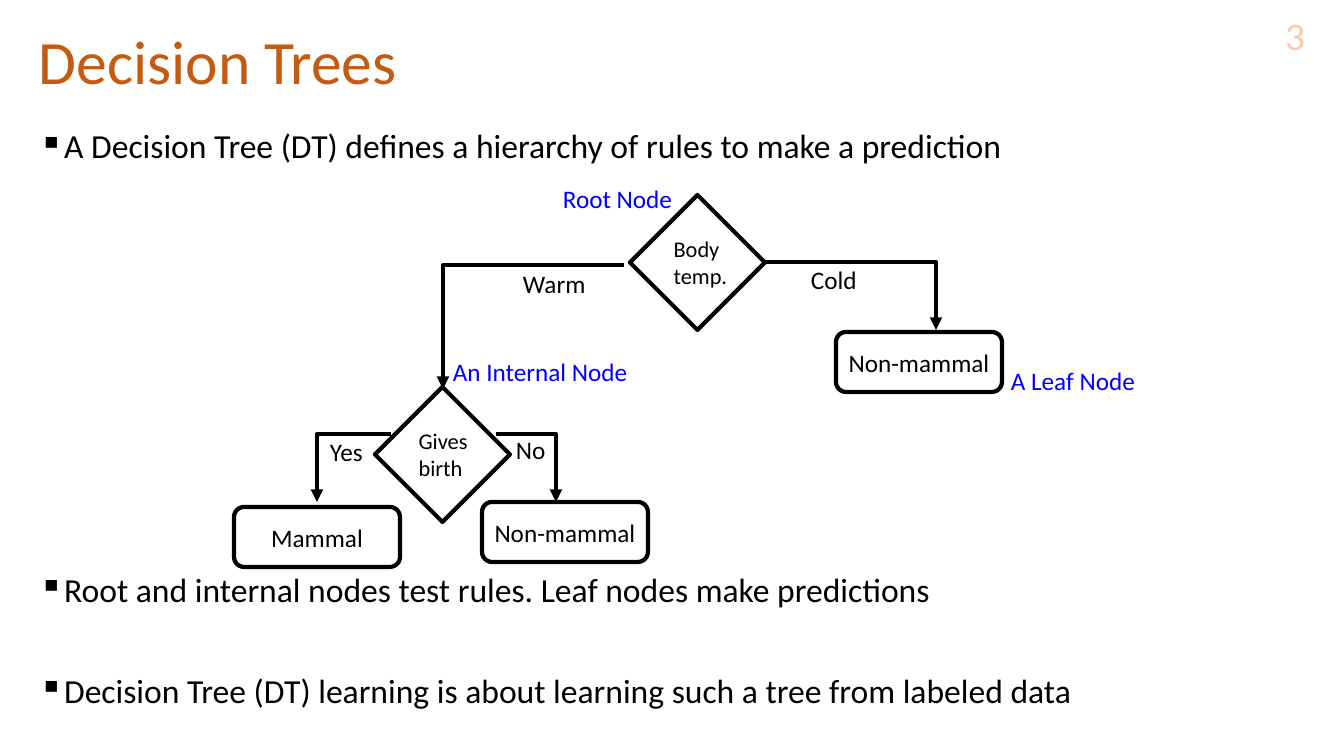
import pptx
import pptx.util
import pptx.dml.color
import pptx.enum.shapes
import pptx.enum.text
import pptx.oxml
import pptx.oxml.ns
from lxml import etree

SHAPES = pptx.enum.shapes.MSO_SHAPE
ALIGN = pptx.enum.text.PP_ALIGN
ANCHOR = pptx.enum.text.MSO_ANCHOR
BLACK = pptx.dml.color.RGBColor(0, 0, 0)
WHITE = pptx.dml.color.RGBColor(255, 255, 255)
BLUE = pptx.dml.color.RGBColor(0, 0, 255)
ORANGE = pptx.dml.color.RGBColor(0xC5, 0x5A, 0x11)
PEACH = pptx.dml.color.RGBColor(0xF8, 0xCB, 0xAD)
FONT = "Calibri"

# Content: lengths in px, spacing in points
TITLE = ("Decision Trees", (29, 19, 1294, 91))
NUMBER = ("3", (1248, 15, 67, 40))
BODY_BOX = (29, 125, 1294, 613)
BULLETS = [  # text, space before
    ("A Decision Tree (DT) defines a hierarchy of rules to make a prediction", 10),
    ("Root and internal nodes test rules. Leaf nodes make predictions", 291),
    ("Decision Tree (DT) learning is about learning such a tree from labeled data", 46),
]
BRANCHES = [  # start, end
    ((765, 262), (936, 330)),
    ((624, 265), (443, 389)),
    ((391, 434), (317, 502)),
    ((496, 434), (556, 502)),
]
TESTS = [("Body\ntemp.", 630, 195), ("Gives\nbirth", 375, 387)]
LEAVES = [("Non-mammal", 836, 332), ("Non-mammal", 482, 502), ("Mammal", 234, 507)]
TEST_SIZE = (135, 135)
LEAF_SIZE = (166, 60)
LABELS = [  # text, left, top, width, colour
    ("Cold", 801, 259, 67, BLACK),
    ("Warm", 513, 263, 84, BLACK),
    ("Yes", 320, 431, 53, BLACK),
    ("No", 506, 429, 50, BLACK),
    ("Root Node", 553, 178, 131, BLUE),
    ("An Internal Node", 443, 351, 197, BLUE),
    ("A Leaf Node", 1001, 360, 146, BLUE),
]
LABEL_HEIGHT = 40


def px(length):
    return pptx.util.Emu(length * 9072)


def write(frame, text, size, color=BLACK, align=ALIGN.LEFT, anchor=ANCHOR.TOP, wrap=True):
    frame.word_wrap = wrap
    frame.vertical_anchor = anchor
    frame.text = text
    for para in frame.paragraphs:
        para.alignment = align
        for span in para.runs:
            span.font.name = FONT
            span.font.size = pptx.util.Pt(size)
            span.font.color.rgb = color


def add_text(bounds, text, size, **style):
    box = page.shapes.add_textbox(*map(px, bounds))
    write(box.text_frame, text, size, **style)
    return box.text_frame


def add_node(kind, bounds, text, size, align):
    node = page.shapes.add_shape(kind, *map(px, bounds))
    node.shadow.inherit = False
    node.fill.solid()
    node.fill.fore_color.rgb = WHITE
    node.line.color.rgb = BLACK
    node.line.width = pptx.util.Pt(3)
    write(node.text_frame, text, size, align=align, anchor=ANCHOR.MIDDLE, wrap=False)


def add_branch(start, end):
    branch = page.shapes.add_connector(
        pptx.enum.shapes.MSO_CONNECTOR.ELBOW, *map(px, start + end))
    branch.line.color.rgb = BLACK
    branch.line.width = pptx.util.Pt(3)
    qn = pptx.oxml.ns.qn
    properties = branch.element.spPr
    # One bend: across, then down to the arrowhead
    properties.find(qn("a:prstGeom")).set("prst", "bentConnector2")
    etree.SubElement(properties.find(qn("a:ln")), qn("a:tailEnd"), type="triangle")
    etree.SubElement(properties, qn("a:effectLst"))


def add_bullet(para, space_before):
    para.line_spacing = 0.9
    para.space_before = pptx.util.Pt(space_before)
    properties = para._p.get_or_add_pPr()
    properties.set("marL", "228600")
    properties.set("indent", "-228600")
    etree.SubElement(properties, pptx.oxml.ns.qn("a:buChar"), char="▪")


deck = pptx.Presentation()
deck.slide_width, deck.slide_height = px(1344), px(756)
page = deck.slides.add_slide(deck.slide_layouts[6])

# Title, slide number and bullets
heading = add_text(TITLE[1], TITLE[0], 44, color=ORANGE, anchor=ANCHOR.MIDDLE)
heading.paragraphs[0].line_spacing = 0.9
add_text(NUMBER[1], NUMBER[0], 28, color=PEACH, align=ALIGN.RIGHT, anchor=ANCHOR.MIDDLE)
body = add_text(BODY_BOX, "\n".join(text for text, _ in BULLETS), 24)
for para, (_, space_before) in zip(body.paragraphs, BULLETS):
    add_bullet(para, space_before)

# Tree
for start, end in BRANCHES:
    add_branch(start, end)
for text, left, top in TESTS:
    add_node(SHAPES.DIAMOND, (left, top, *TEST_SIZE), text, 16, ALIGN.LEFT)
for text, left, top in LEAVES:
    add_node(SHAPES.ROUNDED_RECTANGLE, (left, top, *LEAF_SIZE), text, 18, ALIGN.CENTER)
for text, left, top, width, color in LABELS:
    add_text((left, top, width, LABEL_HEIGHT), text, 18, color=color, wrap=False)

deck.save("out.pptx")
